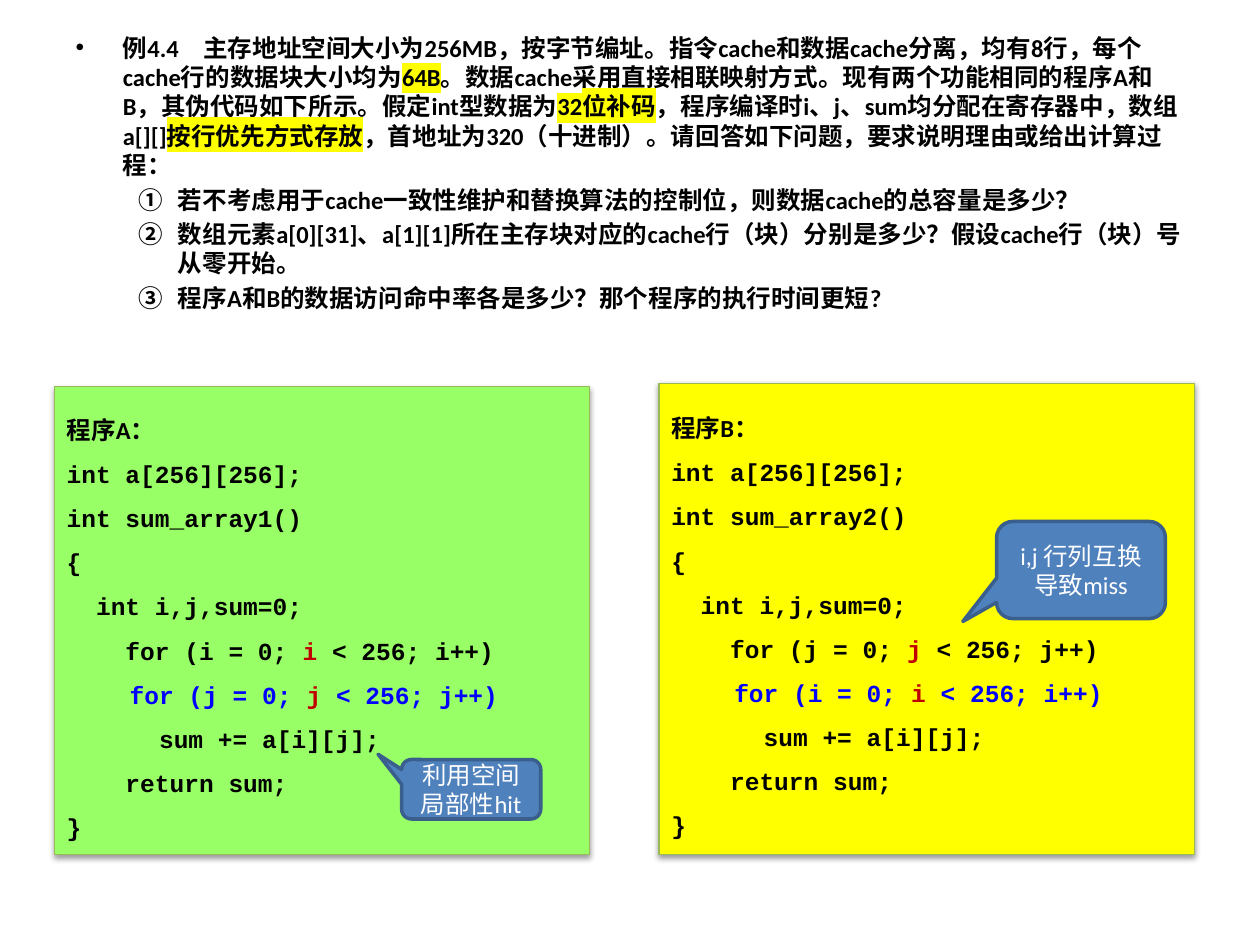
from dataclasses import dataclass
from typing import Optional

from lxml import etree
from pptx import Presentation
from pptx.dml.color import RGBColor
from pptx.enum import shapes, text
from pptx.oxml import ns
from pptx.util import Pt


@dataclass(frozen=True)
class Theme:
    size: float = 14
    body_font: str = "Calibri"
    code_font: str = "Courier New"
    ink: str = "000000"
    keyword: str = "0000FF"
    index: str = "C00000"
    mark: str = "FFFF00"
    program_a: str = "99FF66"
    program_b: str = "FFFF00"
    program_line: str = "98B955"
    callout: str = "4F81BD"
    callout_line: str = "3A5F8C"
    callout_ink: str = "FFFFFF"


THEME = Theme()


@dataclass(frozen=True)
class Run:
    words: str
    color: str = THEME.ink
    mark: Optional[str] = None


@dataclass(frozen=True)
class Box:
    left: float
    top: float
    width: float
    height: float

    def lengths(self) -> tuple:
        return Pt(self.left), Pt(self.top), Pt(self.width), Pt(self.height)


@dataclass(frozen=True)
class Program:
    box: Box
    fill: str
    name: str
    number: int
    outer: str
    inner: str

    def lines(self) -> list[list[Run]]:
        return [
            [Run(f"程序{self.name}：")],
            [Run("int a[256][256];")],
            [Run(f"int sum_array{self.number}()")],
            [Run("{")],
            [Run("  int i,j,sum=0;")],
            loop("    ", self.outer, THEME.ink),
            loop(" \t", self.inner, THEME.keyword),
            [Run("   \t  sum += a[i][j];")],
            [Run("    return sum;")],
            [Run("}")],
        ]


@dataclass(frozen=True)
class Callout:
    box: Box
    words: str
    tip: tuple[float, float]


def loop(indent: str, name: str, color: str) -> list[Run]:
    return [
        Run(f"{indent}for ({name} = 0; ", color),
        Run(name, THEME.index),
        Run(f" < 256; {name}++)", color),
    ]


INTRO = [
    Run("例4.4　主存地址空间大小为256MB，按字节编址。指令cache和数据cache分离，均有8行，每个cache行的数据块大小均为"),
    Run("64B", mark=THEME.mark),
    Run("。数据cache采用直接相联映射方式。现有两个功能相同的程序A和B，其伪代码如下所示。假定int型数据为"),
    Run("32位补码", mark=THEME.mark),
    Run("，程序编译时i、j、sum均分配在寄存器中，数组a[][]"),
    Run("按行优先方式存放", mark=THEME.mark),
    Run("，首地址为320（十进制）。请回答如下问题，要求说明理由或给出计算过程："),
]
QUESTIONS = [
    "若不考虑用于cache一致性维护和替换算法的控制位，则数据cache的总容量是多少？",
    "数组元素a[0][31]、a[1][1]所在主存块对应的cache行（块）分别是多少？假设cache行（块）号从零开始。",
    "程序A和B的数据访问命中率各是多少？那个程序的执行时间更短?",
]
BODY = Box(36, 15, 648, 356.5)
PROGRAMS = [
    Program(Box(31, 221, 306, 267.5), THEME.program_a, "A", 1, "i", "j"),
    Program(Box(376.5, 219, 306, 269.5), THEME.program_b, "B", 2, "j", "i"),
]
CALLOUTS = [
    Callout(Box(229.5, 434, 79.5, 34), "利用空间局部性hit", (-0.67, -0.59)),
    Callout(Box(569.5, 298, 96.5, 55.5), "i,j 行列互换导致miss", (-0.7, 0.53)),
]


def add_run(p, run: Run, font: str, bold: bool = True) -> None:
    r = p.add_run()
    r.text = run.words
    r.font.size = Pt(THEME.size)
    r.font.bold = bold
    r.font.color.rgb = RGBColor.from_string(run.color)
    r.font.name = font
    if run.mark:
        highlight = etree.Element(ns.qn("a:highlight"))
        etree.SubElement(highlight, ns.qn("a:srgbClr"), val=run.mark)
        r.font._element.find(ns.qn("a:solidFill")).addnext(highlight)


def next_paragraph(tf, number: int):
    return tf.add_paragraph() if number else tf.paragraphs[0]


def fill_body(sp) -> None:
    sp.left, sp.top, sp.width, sp.height = BODY.lengths()
    tf = sp.text_frame
    tf.auto_size = text.MSO_AUTO_SIZE.NONE
    for run in INTRO:
        add_run(tf.paragraphs[0], run, THEME.body_font)
    for question in QUESTIONS:
        p = tf.add_paragraph()
        p.level = 1
        props = p._p.get_or_add_pPr()
        etree.SubElement(props, ns.qn("a:buFont"), typeface="+mj-ea")
        etree.SubElement(props, ns.qn("a:buAutoNum"), type="circleNumDbPlain")
        add_run(p, Run(question), THEME.body_font)


def add_panel(s, kind, box: Box, fill: str, line: str, weight: float):
    sp = s.shapes.add_shape(kind, *box.lengths())
    sp.shadow.inherit = False
    sp.fill.solid()
    sp.fill.fore_color.rgb = RGBColor.from_string(fill)
    sp.line.color.rgb = RGBColor.from_string(line)
    sp.line.width = Pt(weight)
    sp.text_frame.word_wrap = True
    sp.text_frame.vertical_anchor = text.MSO_ANCHOR.MIDDLE
    return sp


def add_shadow(sp) -> None:
    effects = sp._element.spPr.find(ns.qn("a:effectLst"))
    shadow = etree.SubElement(
        effects, ns.qn("a:outerShdw"), blurRad=str(Pt(3.1)),
        dist=str(Pt(1.6)), dir="5400000", rotWithShape="0")
    color = etree.SubElement(shadow, ns.qn("a:srgbClr"), val=THEME.ink)
    etree.SubElement(color, ns.qn("a:alpha"), val="38000")


def add_program(s, program: Program) -> None:
    sp = add_panel(s, shapes.MSO_SHAPE.RECTANGLE, program.box,
                   program.fill, THEME.program_line, 0.75)
    add_shadow(sp)
    for number, line in enumerate(program.lines()):
        p = next_paragraph(sp.text_frame, number)
        p.alignment = text.PP_ALIGN.LEFT
        p.line_spacing = 1.5
        for run in line:
            add_run(p, run, THEME.code_font if number else THEME.body_font)


def add_callout(s, callout: Callout) -> None:
    sp = add_panel(s, shapes.MSO_SHAPE.ROUNDED_RECTANGULAR_CALLOUT, callout.box,
                   THEME.callout, THEME.callout_line, 2)
    sp.adjustments[0], sp.adjustments[1] = callout.tip
    p = sp.text_frame.paragraphs[0]
    p.alignment = text.PP_ALIGN.CENTER
    add_run(p, Run(callout.words, THEME.callout_ink), THEME.body_font, bold=False)


def main() -> None:
    prs = Presentation()
    prs.slide_width, prs.slide_height = Pt(720), Pt(540)
    s = prs.slides.add_slide(prs.slide_layouts[1])
    title = s.shapes.title._element
    title.getparent().remove(title)
    fill_body(s.placeholders[1])
    for program in PROGRAMS:
        add_program(s, program)
    for callout in CALLOUTS:
        add_callout(s, callout)
    prs.save("out.pptx")


if __name__ == "__main__":
    main()
